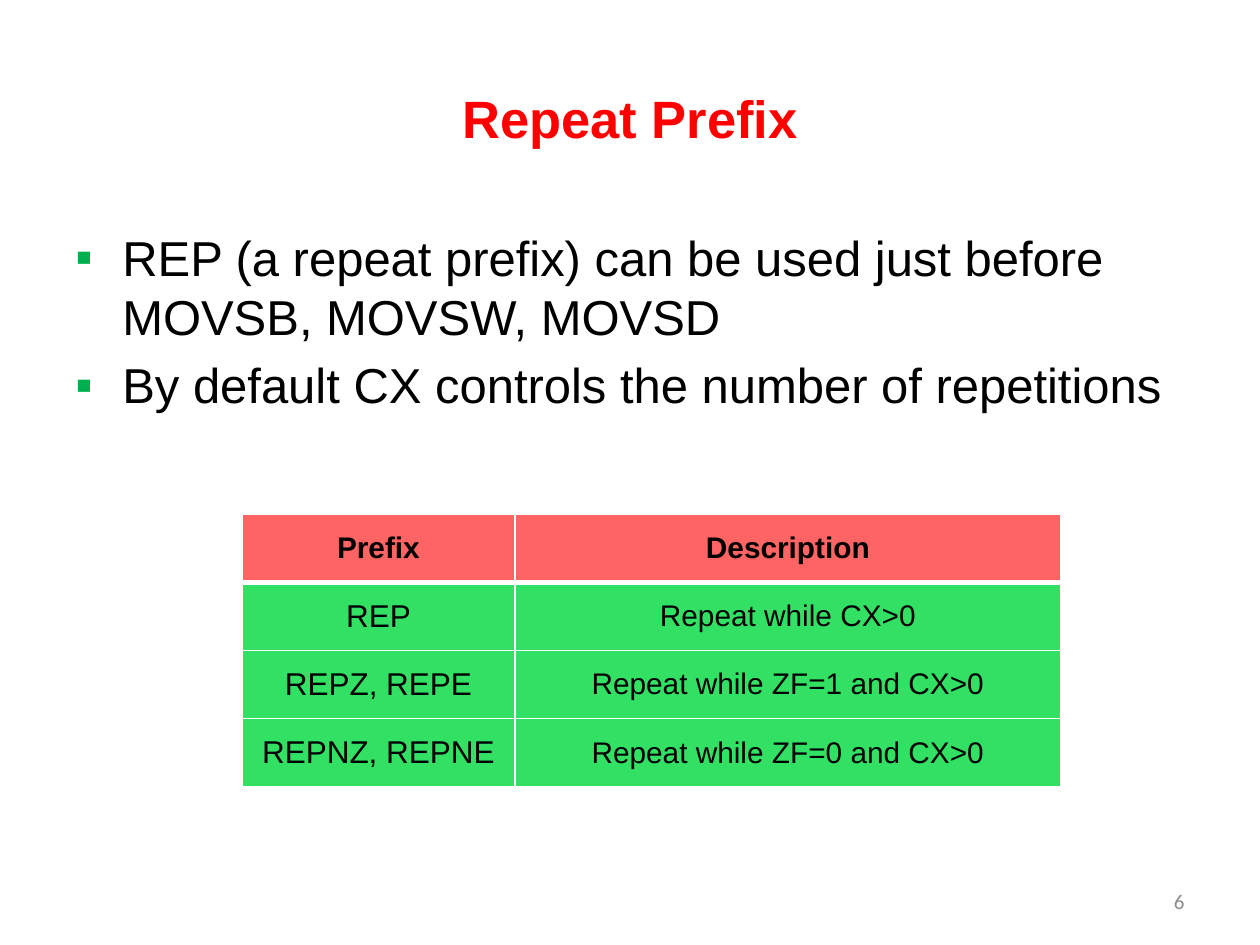
from pptx import Presentation
from pptx.dml.color import RGBColor
from pptx.enum.text import MSO_ANCHOR, PP_ALIGN
from pptx.oxml.ns import qn
from pptx.util import Pt
from lxml import etree

SCALE = 914400 / 126
TOP, MIDDLE = MSO_ANCHOR.TOP, MSO_ANCHOR.MIDDLE
LEFT, CENTER, RIGHT = PP_ALIGN.LEFT, PP_ALIGN.CENTER, PP_ALIGN.RIGHT
ROWS = [
    ("Prefix", "Description"),
    ("REP", "Repeat while CX>0"),
    ("REPZ, REPE", "Repeat while ZF=1 and CX>0"),
    ("REPNZ, REPNE", "Repeat while ZF=0 and CX>0"),
]
POINTS = [
    "REP (a repeat prefix) can be used just before MOVSB, MOVSW, MOVSD",
    "By default CX controls the number of repetitions",
]


def px(n):
    """Turn pixels into EMU."""
    return round(n * SCALE)


def color(code):
    """Turn a hex string into a colour."""
    return RGBColor.from_string(code)


def add_run(para, text, size, code="000000", bold=False, face="Arial"):
    """Add one styled run to a paragraph."""
    run = para.add_run()
    run.text = text
    font = run.font
    font.name, font.size, font.bold = face, Pt(size), bold
    font.color.rgb = color(code)


def add_text(slide, box, lines, size, align=LEFT, anchor=MIDDLE, **style):
    """Add a wrapped text box and return its paragraphs."""
    frame = slide.shapes.add_textbox(*map(px, box)).text_frame
    frame.word_wrap = True
    frame.vertical_anchor = anchor
    for i, line in enumerate(lines):
        para = frame.add_paragraph() if i else frame.paragraphs[0]
        para.alignment = align
        add_run(para, line, size, **style)
    return frame.paragraphs


def add_bullet(para, code):
    """Give a paragraph a hanging square bullet."""
    para.space_before = Pt(5.6)
    props = para._p.get_or_add_pPr()
    props.set("marL", str(px(47)))
    props.set("indent", str(-px(47)))
    tint = etree.SubElement(props, qn("a:buClr"))
    etree.SubElement(tint, qn("a:srgbClr"), val=code)
    etree.SubElement(props, qn("a:buFont"), typeface="Arial")
    etree.SubElement(props, qn("a:buChar"), char="▪")


def add_edge(cell, side, width, code="FFFFFF"):
    """Draw one border of a cell."""
    props = cell._tc.get_or_add_tcPr()
    line = etree.SubElement(props, qn(f"a:ln{side}"), w=str(Pt(width)))
    fill = etree.SubElement(line, qn("a:solidFill"))
    etree.SubElement(fill, qn("a:srgbClr"), val=code)


def fill_cell(cell, text, row, col):
    """Style and write one table cell."""
    head = row == 0
    for side in "LRTB":
        thick = (side == "B" and head) or (side == "T" and row == 1)
        add_edge(cell, side, 3 if thick else 1)
    cell.fill.solid()
    cell.fill.fore_color.rgb = color("FF6464" if head else "32E164")
    cell.vertical_anchor = MIDDLE
    para = cell.text_frame.paragraphs[0]
    para.alignment = CENTER
    add_run(para, text, 17 if head or col else 18, bold=head)


def add_grid(slide, box, widths, rows):
    """Add the prefix table."""
    table = slide.shapes.add_table(len(rows), len(widths), *map(px, box)).table
    for col, width in zip(table.columns, widths):
        col.width = px(width)
    for r, texts in enumerate(rows):
        for c, text in enumerate(texts):
            fill_cell(table.cell(r, c), text, r, c)


def main():
    """Build and save the slide."""
    deck = Presentation()
    deck.slide_width, deck.slide_height = px(1260), px(945)
    slide = deck.slides.add_slide(deck.slide_layouts[6])
    add_text(slide, (63, 38, 1134, 158), ["Repeat Prefix"], 30, CENTER,
             code="FF0000", bold=True)
    for para in add_text(slide, (63, 221, 1134, 624), POINTS, 28, anchor=TOP):
        add_bullet(para, "00B050")
    add_grid(slide, (242, 514, 819, 273), (273, 546), ROWS)
    add_text(slide, (903, 876, 294, 50), ["6"], 12, RIGHT,
             code="8C8C8C", face="Calibri")
    deck.save("out.pptx")


if __name__ == "__main__":
    main()
